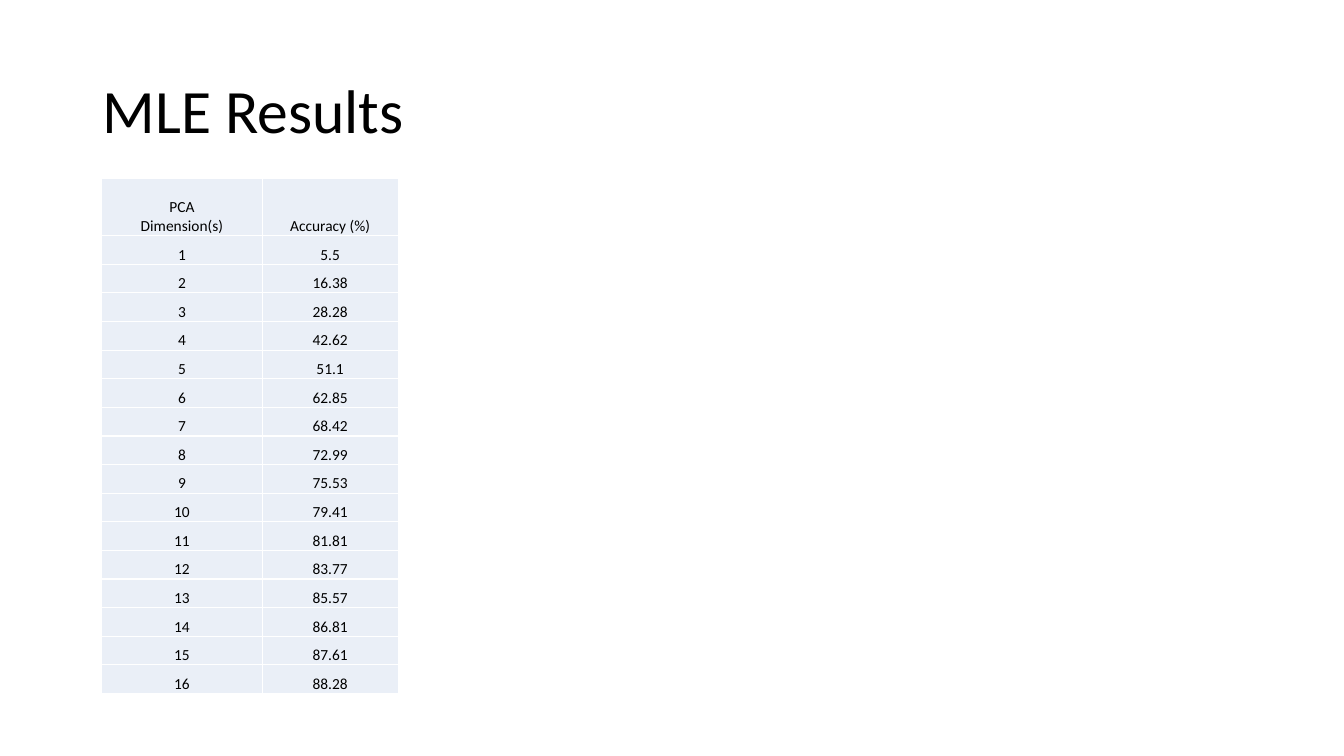
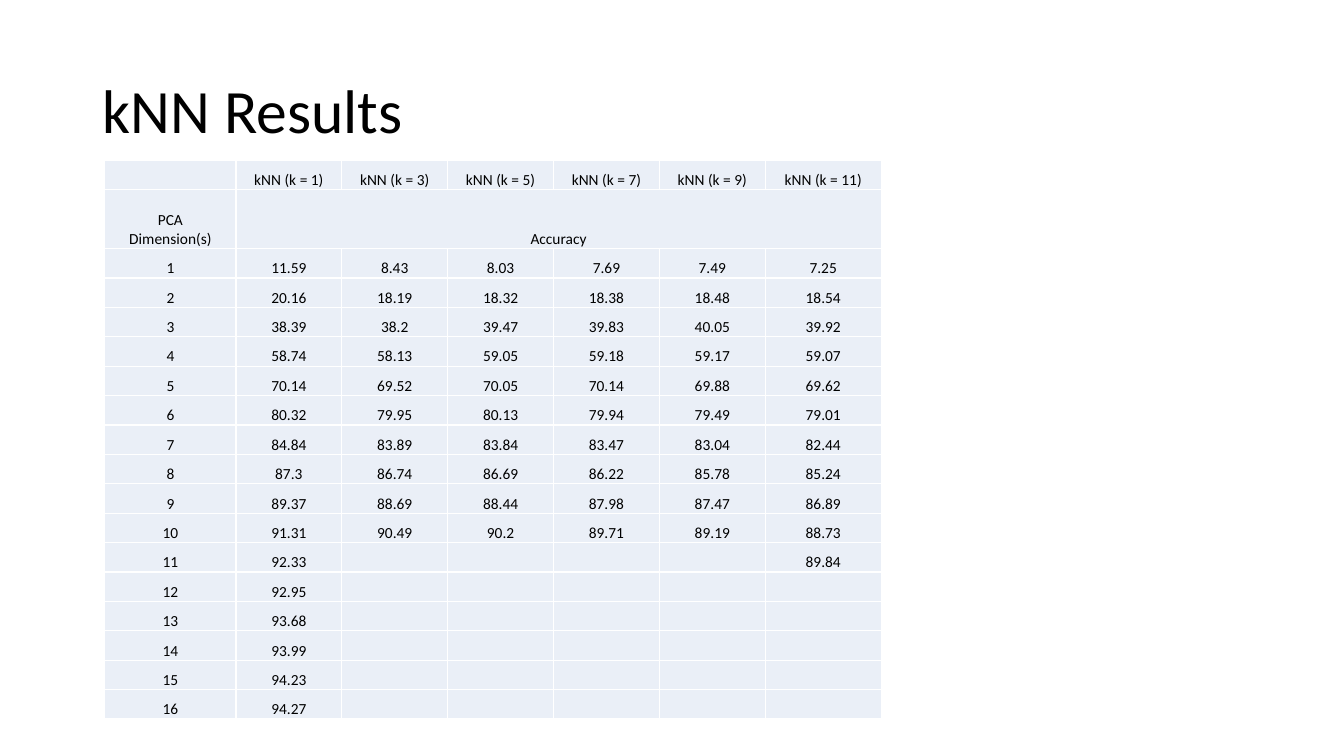
from lxml.etree import SubElement
from pptx import Presentation
from pptx.dml.color import RGBColor
from pptx.enum.text import MSO_ANCHOR, PP_ALIGN
from pptx.oxml.ns import qn
from pptx.util import Inches, Pt

COLORS = {"text": "000000", "cell": "EAEFF7", "border": "FFFFFF"}
FONT = "Calibri"
TITLE_BOX = (0.92, 0.4, 11.5, 1.45)
DIMENSION_LABEL = "PCA\vDimension(s)"

MLE_ACCURACY = [
    "5.5", "16.38", "28.28", "42.62", "51.1", "62.85", "68.42", "72.99",
    "75.53", "79.41", "81.81", "83.77", "85.57", "86.81", "87.61", "88.28",
]
KNN_ACCURACY = {
    1: ["11.59", "20.16", "38.39", "58.74", "70.14", "80.32", "84.84", "87.3",
        "89.37", "91.31", "92.33", "92.95", "93.68", "93.99", "94.23", "94.27"],
    3: ["8.43", "18.19", "38.2", "58.13", "69.52", "79.95", "83.89", "86.74", "88.69", "90.49"],
    5: ["8.03", "18.32", "39.47", "59.05", "70.05", "80.13", "83.84", "86.69", "88.44", "90.2"],
    7: ["7.69", "18.38", "39.83", "59.18", "70.14", "79.94", "83.47", "86.22", "87.98", "89.71"],
    9: ["7.49", "18.48", "40.05", "59.17", "69.88", "79.49", "83.04", "85.78", "87.47", "89.19"],
    11: ["7.25", "18.54", "39.92", "59.07", "69.62", "79.01", "82.44", "85.24", "86.89", "88.73",
         "89.84"],
}


def format_paragraph(paragraph, size, alignment):
    paragraph.alignment = alignment
    paragraph.font.name = FONT
    paragraph.font.size = Pt(size)
    paragraph.font.color.rgb = RGBColor.from_string(COLORS["text"])


def add_title_slide(presentation, text):
    slide = presentation.slides.add_slide(presentation.slide_layouts[5])
    title = slide.shapes.title
    title.left, title.top, title.width, title.height = map(Inches, TITLE_BOX)
    title.text_frame.text = text
    title.text_frame.vertical_anchor = MSO_ANCHOR.MIDDLE
    paragraph = title.text_frame.paragraphs[0]
    paragraph.line_spacing = 0.9
    format_paragraph(paragraph, 44, PP_ALIGN.LEFT)
    return slide


def add_borders(cell):
    properties = cell._tc.get_or_add_tcPr()
    for side in ("a:lnL", "a:lnR", "a:lnT", "a:lnB"):
        line = SubElement(properties, qn(side), w=str(Pt(1)))
        fill = SubElement(line, qn("a:solidFill"))
        SubElement(fill, qn("a:srgbClr"), val=COLORS["border"])


def fill_cell(cell, text):
    cell.text = text
    cell.vertical_anchor = MSO_ANCHOR.BOTTOM
    cell.margin_left = cell.margin_right = cell.margin_top = Inches(0.01)
    cell.margin_bottom = 0
    add_borders(cell)
    cell.fill.solid()
    cell.fill.fore_color.rgb = RGBColor.from_string(COLORS["cell"])
    paragraph = cell.text_frame.paragraphs[0]
    format_paragraph(paragraph, 11, PP_ALIGN.CENTER)
    if not text:
        SubElement(paragraph._p, qn("a:endParaRPr"), sz="1100")


def add_result_table(slide, rows, left, top, height, widths):
    frame = slide.shapes.add_table(
        len(rows), len(widths), Inches(left), Inches(top), Inches(sum(widths)), Inches(height))
    table = frame.table
    table.first_row = table.horz_banding = False
    for column, width in zip(table.columns, widths):
        column.width = Inches(width)
    row_height = Inches(height / (len(rows) + 1))
    for row, texts in zip(table.rows, rows):
        row.height = row_height * (2 if texts[0] == DIMENSION_LABEL else 1)
        for cell, text in zip(row.cells, texts):
            fill_cell(cell, text)
    return table


def numbered_rows(columns):
    count = max(map(len, columns))
    padded = [column + [""] * (count - len(column)) for column in columns]
    return [[str(number), *values] for number, values in enumerate(zip(*padded), 1)]


def add_mle_slide(presentation):
    slide = add_title_slide(presentation, "MLE Results")
    rows = [[DIMENSION_LABEL, "Accuracy (%)"]] + numbered_rows([MLE_ACCURACY])
    add_result_table(slide, rows, 1.01, 1.77, 5.11, [1.59, 1.35])


def add_knn_slide(presentation):
    slide = add_title_slide(presentation, "kNN Results")
    rows = [
        [""] + [f"kNN (k = {neighbors})" for neighbors in KNN_ACCURACY],
        [DIMENSION_LABEL, "Accuracy"] + [""] * (len(KNN_ACCURACY) - 1),
    ] + numbered_rows(list(KNN_ACCURACY.values()))
    table = add_result_table(slide, rows, 1.04, 1.59, 5.55, [1.3] + [1.05] * 5 + [1.15])
    table.cell(1, 1).merge(table.cell(1, len(KNN_ACCURACY)))


def main():
    presentation = Presentation()
    presentation.slide_width = Inches(13.33)
    presentation.slide_height = Inches(7.5)
    add_mle_slide(presentation)
    add_knn_slide(presentation)
    presentation.save("out.pptx")


main()
